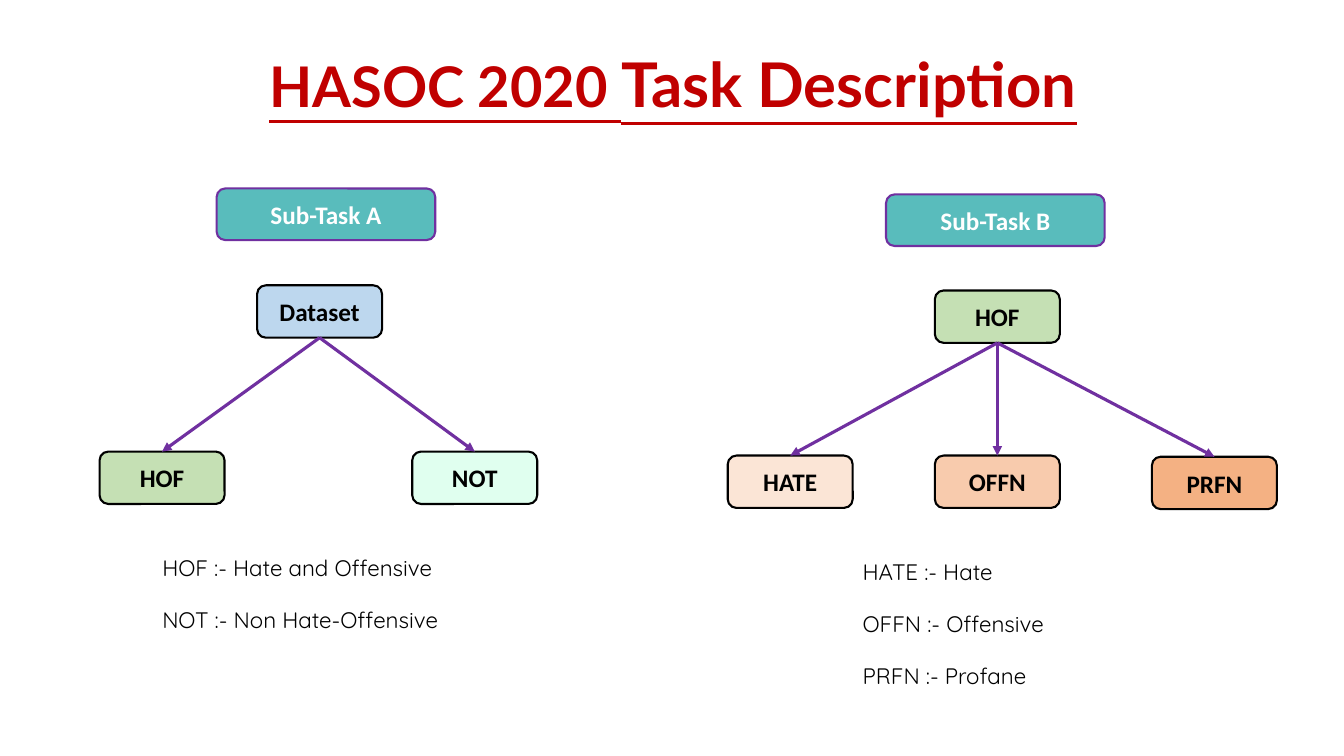
"""Build the HASOC 2020 task description slide with its two label trees."""
from dataclasses import dataclass

from lxml import etree
from pptx import Presentation
from pptx import util as u
from pptx.dml.color import RGBColor
from pptx.enum import shapes, text
from pptx.oxml import ns

BLACK = RGBColor(0x00, 0x00, 0x00)
WHITE = RGBColor(0xFF, 0xFF, 0xFF)
RED = RGBColor(0xC0, 0x00, 0x00)
PURPLE = RGBColor(0x70, 0x30, 0xA0)
TEAL = RGBColor(0x00, 0x99, 0x99)
GREEN = RGBColor(0xC5, 0xE0, 0xB4)
MINT = RGBColor(0x99, 0xFF, 0xCC)
BLUE = RGBColor(0xBD, 0xD7, 0xEE)
PEACH = RGBColor(0xFB, 0xE5, 0xD6)
APRICOT = RGBColor(0xF8, 0xCB, 0xAD)
ORANGE = RGBColor(0xF4, 0xB1, 0x83)

TITLE_FORMAT = {"name": "Lato", "bold": True, "underline": True}
BOX_FORMAT = {"name": "Calibri", "size": u.Pt(18), "bold": True}
LEGEND_FORMAT = {"name": "Quicksand", "size": u.Pt(16)}
TITLE_RUNS = (("HASOC 2020 ", 40), ("Task Description", 44))


@dataclass(frozen=True)
class Box:
    """A rounded, labelled box measured in centimetres."""
    label: str
    left: float
    top: float
    fill: RGBColor
    opacity: int = 100
    width: float = 3.15
    height: float = 1.32
    border: RGBColor = BLACK
    ink: RGBColor = BLACK


@dataclass(frozen=True)
class Legend:
    """The explanations of a tree's labels."""
    left: float
    top: float
    width: float
    height: float
    lines: tuple[str, ...]


@dataclass(frozen=True)
class Task:
    """A sub-task: heading, root, leaves and legend."""
    heading: Box
    root: Box
    leaves: tuple[Box, ...]
    legend: Legend


def heading_box(label: str, left: float, top: float) -> Box:
    """Describe a sub-task heading."""
    return Box(label, left, top, TEAL, 65, 5.51, 1.3, PURPLE, WHITE)


TASKS = (
    Task(
        heading_box("Sub-Task A", 5.46, 4.75),
        Box("Dataset", 6.48, 7.19, BLUE),
        (Box("HOF", 2.51, 11.38, GREEN), Box("NOT", 10.39, 11.38, MINT, 30)),
        Legend(3.84, 13.84, 11.3, 2.39,
               ("HOF :- Hate and Offensive", "NOT :- Non Hate-Offensive")),
    ),
    Task(
        heading_box("Sub-Task B", 22.33, 4.9),
        Box("HOF", 23.56, 7.32, GREEN),
        (Box("HATE", 18.34, 11.48, PEACH), Box("OFFN", 23.56, 11.48, APRICOT),
         Box("PRFN", 29.03, 11.51, ORANGE)),
        Legend(21.49, 13.94, 7.7, 3.76,
               ("HATE :- Hate", "OFFN :- Offensive", "PRFN :- Profane")),
    ),
)


def add_run(paragraph, words: str, formats: dict, colour: RGBColor):
    """Add a formatted run and return it."""
    run = paragraph.add_run()
    run.text = words
    for name, value in formats.items():
        setattr(run.font, name, value)
    run.font.color.rgb = colour
    return run


def add_title(slide) -> None:
    """Draw the centred, underlined title."""
    shape = slide.shapes.add_textbox(u.Cm(2.36), u.Cm(0.36), u.Cm(29.21), u.Cm(3.68))
    frame = shape.text_frame
    frame.word_wrap = True
    frame.vertical_anchor = text.MSO_ANCHOR.MIDDLE
    paragraph = frame.paragraphs[0]
    paragraph.alignment = text.PP_ALIGN.CENTER
    paragraph.line_spacing = 0.9
    for words, size in TITLE_RUNS:
        add_run(paragraph, words, TITLE_FORMAT | {"size": u.Pt(size)}, RED)


def add_box(slide, box: Box):
    """Draw a box and return its shape."""
    shape = slide.shapes.add_shape(
        shapes.MSO_SHAPE.ROUNDED_RECTANGLE,
        u.Cm(box.left), u.Cm(box.top), u.Cm(box.width), u.Cm(box.height))
    shape.shadow.inherit = False
    shape.fill.solid()
    shape.fill.fore_color.rgb = box.fill
    if box.opacity < 100:
        colour = shape._element.spPr.find(ns.qn("a:solidFill"))[0]
        etree.SubElement(colour, ns.qn("a:alpha"), val=str(box.opacity * 1000))
    shape.line.color.rgb = box.border
    shape.line.width = u.Pt(1.5)
    frame = shape.text_frame
    frame.vertical_anchor = text.MSO_ANCHOR.MIDDLE
    paragraph = frame.paragraphs[0]
    paragraph.alignment = text.PP_ALIGN.CENTER
    add_run(paragraph, box.label, BOX_FORMAT, box.ink)
    return shape


def add_arrow(slide, root, leaf) -> None:
    """Join the bottom of the root to the top of a leaf."""
    arrow = slide.shapes.add_connector(shapes.MSO_CONNECTOR.STRAIGHT, 0, 0, 0, 0)
    arrow.begin_connect(root, 2)
    arrow.end_connect(leaf, 0)
    arrow.line.color.rgb = PURPLE
    arrow.line.width = u.Pt(2.25)
    properties = arrow._element.spPr
    etree.SubElement(properties.find(ns.qn("a:ln")), ns.qn("a:tailEnd"), type="triangle")
    etree.SubElement(properties, ns.qn("a:effectLst"))


def add_legend(slide, legend: Legend) -> None:
    """Draw the spaced explanations of a tree."""
    shape = slide.shapes.add_textbox(
        u.Cm(legend.left), u.Cm(legend.top), u.Cm(legend.width), u.Cm(legend.height))
    frame = shape.text_frame
    frame.word_wrap = True
    for index, line in enumerate(legend.lines):
        paragraph = frame.add_paragraph() if index else frame.paragraphs[0]
        paragraph.space_before = u.Pt(18 if index else 0)
        add_run(paragraph, line, LEGEND_FORMAT, BLACK)


def add_task(slide, task: Task) -> None:
    """Draw one sub-task."""
    add_box(slide, task.heading)
    root = add_box(slide, task.root)
    for leaf in task.leaves:
        add_arrow(slide, root, add_box(slide, leaf))
    add_legend(slide, task.legend)


def main() -> None:
    """Create and save the presentation."""
    presentation = Presentation()
    presentation.slide_width = u.Cm(33.87)
    presentation.slide_height = u.Cm(19.05)
    slide = presentation.slides.add_slide(presentation.slide_layouts[6])
    add_title(slide)
    for task in TASKS:
        add_task(slide, task)
    presentation.save("out.pptx")


main()
